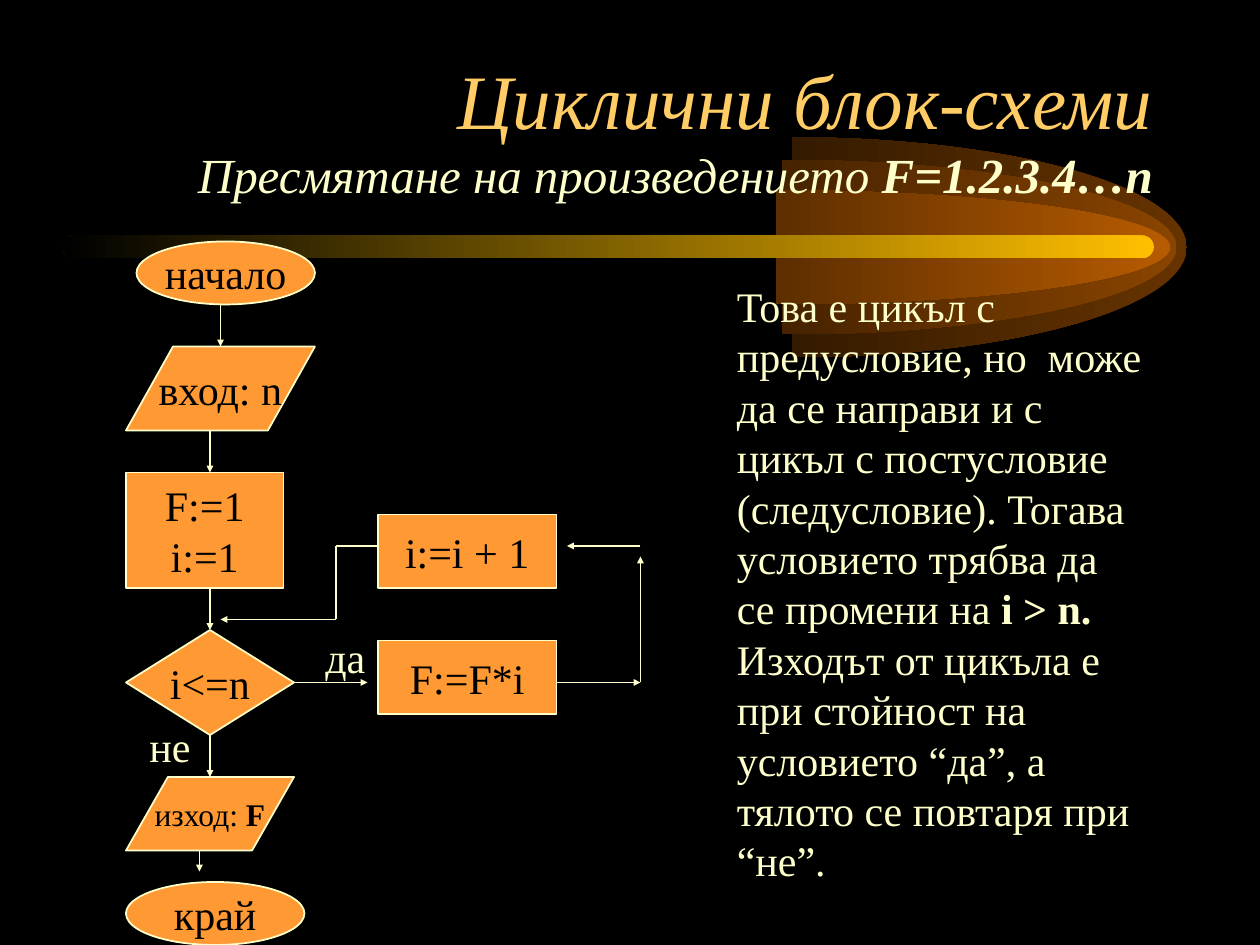
from dataclasses import dataclass

import pptx
import pptx.dml.color
import pptx.enum.shapes
import pptx.enum.text
import pptx.oxml
import pptx.oxml.ns
import pptx.util

SHAPE = pptx.enum.shapes.MSO_SHAPE
ALIGN = pptx.enum.text.PP_ALIGN
ANCHOR = pptx.enum.text.MSO_ANCHOR
FIT = pptx.enum.text.MSO_AUTO_SIZE
NAMESPACE = pptx.oxml.ns.nsdecls("a")

COLUMNS, ROWS = 120, 90
SLIDE_WIDTH, SLIDE_HEIGHT = pptx.util.Inches(10), pptx.util.Inches(7.5)


@dataclass(frozen=True)
class Theme:
    font: str = "Times New Roman"
    background: str = "000000"
    title: str = "FFCC66"
    light: str = "FFFFCC"
    dark: str = "000000"
    block: str = "FF9933"
    bar: str = "FFBF00"
    title_size: int = 44
    subtitle_size: int = 28
    body_size: int = 24
    small_size: int = 18
    line_width: int = 1


@dataclass(frozen=True)
class Run:
    text: str
    size: int
    color: str
    bold: bool = False
    italic: bool = False


@dataclass(frozen=True)
class Box:
    left: float
    top: float
    width: float
    height: float


@dataclass(frozen=True)
class Block:
    preset: SHAPE
    box: Box
    paragraphs: list[list[Run]]
    adjustment: float | None = None


@dataclass(frozen=True)
class Flow:
    points: list[tuple[float, float]]
    arrow: bool = True


@dataclass(frozen=True)
class Halo:
    box: Box
    color: str


THEME = Theme()


def ink(text: str, size: int = THEME.body_size, bold: bool = False) -> Run:
    return Run(text, size, THEME.dark, bold)


def glow(text: str, bold: bool = False) -> Run:
    return Run(text, THEME.body_size, THEME.light, bold)


BLOCKS = [
    Block(SHAPE.OVAL, Box(13, 23, 17, 6), [[ink("начало")]]),
    Block(SHAPE.PARALLELOGRAM, Box(12, 33, 18, 8), [[ink("вход: n")]], 0.56),
    Block(SHAPE.RECTANGLE, Box(12, 45, 15, 11), [[ink("F:=1")], [ink("i:=1")]]),
    Block(SHAPE.DIAMOND, Box(12, 60, 16, 10), [[ink("i<=n")]]),
    Block(SHAPE.PARALLELOGRAM, Box(12, 74, 16, 7),
          [[ink("изход: ", THEME.small_size), ink("F", THEME.small_size, True)]], 0.57),
    Block(SHAPE.OVAL, Box(12, 84, 17, 6), [[ink("край")]]),
    Block(SHAPE.RECTANGLE, Box(36, 61, 17, 7), [[ink("F:=F*i")]]),
    Block(SHAPE.RECTANGLE, Box(36, 49, 17, 7), [[ink("i:=i + 1")]]),
]
FLOWS = [
    Flow([(21, 29), (21, 33)]),
    Flow([(20, 41), (20, 45)]),
    Flow([(20, 56), (20, 60)]),
    Flow([(20, 70), (20, 74)]),
    Flow([(19, 81), (19, 83)]),
    Flow([(28, 65), (35, 65)]),
    Flow([(53, 65), (61, 65)]),
    Flow([(61, 65), (61, 53)]),
    Flow([(61, 52), (54, 52)]),
    Flow([(36, 52), (32, 52), (32, 59)], arrow=False),
    Flow([(32, 59), (21, 59)]),
]
HALOS = [
    Halo(Box(37.92, 13.08, 75.12, 20.95), "663300"),
    Halo(Box(36.96, 15.24, 75.12, 16.62), "894400"),
    Halo(Box(36.36, 18.12, 75.12, 10.85), "B75B00"),
]
ARC_HANDLE = 0.55
BAR = Box(6, 22.42, 103.9, 2.18)
TITLE = Box(9, 5, 102, 15)
LABELS = [(Box(29.8, 59.58, 6.5, 6), "да"), (Box(13.05, 68, 6.5, 6), "не")]
NOTE = Box(69, 26.12, 41, 58.8)


def across(columns: float) -> int:
    return round(SLIDE_WIDTH * columns / COLUMNS)


def down(rows: float) -> int:
    return round(SLIDE_HEIGHT * rows / ROWS)


def place(box: Box) -> tuple[int, int, int, int]:
    return across(box.left), down(box.top), across(box.width), down(box.height)


def rgb(color: str) -> pptx.dml.color.RGBColor:
    return pptx.dml.color.RGBColor.from_string(color)


def apply_format(target: object, values: dict[str, object]) -> None:
    for name, value in values.items():
        setattr(target, name, value)


def write_run(paragraph, item: Run) -> None:
    run = paragraph.add_run()
    run.text = item.text
    apply_format(run.font, {"name": THEME.font, "size": pptx.util.Pt(item.size),
                            "bold": item.bold, "italic": item.italic})
    run.font.color.rgb = rgb(item.color)


def write_text(frame, paragraphs: list[list[Run]], frame_format: dict, paragraph_format: dict) -> None:
    apply_format(frame, frame_format)
    for index, runs in enumerate(paragraphs):
        paragraph = frame.add_paragraph() if index else frame.paragraphs[0]
        apply_format(paragraph, paragraph_format)
        for item in runs:
            write_run(paragraph, item)


def fade(shape, color: str) -> None:
    shape.shadow.inherit = False
    shape.line.fill.background()
    shape.fill.gradient()
    shape.fill.gradient_angle = 180
    for stop, stop_color in zip(shape.fill.gradient_stops, (color, THEME.background)):
        stop.color.rgb = rgb(stop_color)


def draw_halo(slide, halo: Halo) -> None:
    left, top, width, height = place(halo.box)
    middle, center = left + width // 2, top + height // 2
    builder = slide.shapes.build_freeform(left, center)
    builder.move_to(middle, top)
    builder.add_line_segments([(left + width, center), (middle, top + height)], close=True)
    shape = builder.convert_to_shape()
    half_width, half_height = width // 2, height // 2
    reach_x, reach_y = round(half_width * ARC_HANDLE), round(half_height * ARC_HANDLE)
    curves = [
        [(half_width + reach_x, 0), (width, half_height - reach_y), (width, half_height)],
        [(width, half_height + reach_y), (half_width + reach_x, height), (half_width, height)],
    ]
    segments = list(shape.element.iter(pptx.oxml.ns.qn("a:lnTo")))
    for segment, curve in zip(segments, curves):
        points = "".join(f'<a:pt x="{x}" y="{y}"/>' for x, y in curve)
        segment.getparent().replace(segment, pptx.oxml.parse_xml(
            f"<a:cubicBezTo {NAMESPACE}>{points}</a:cubicBezTo>"))
    fade(shape, halo.color)


def draw_block(slide, block: Block) -> None:
    shape = slide.shapes.add_shape(block.preset, *place(block.box))
    shape.shadow.inherit = False
    shape.fill.solid()
    shape.fill.fore_color.rgb = rgb(THEME.block)
    shape.line.color.rgb = rgb(THEME.light)
    shape.line.width = pptx.util.Pt(THEME.line_width)
    if block.adjustment is not None:
        shape.adjustments[0] = block.adjustment
    write_text(shape.text_frame, block.paragraphs,
               {"word_wrap": False, "vertical_anchor": ANCHOR.MIDDLE}, {"alignment": ALIGN.CENTER})


def draw_flow(slide, flow: Flow) -> None:
    for start, end in zip(flow.points, flow.points[1:]):
        connector = slide.shapes.add_connector(
            pptx.enum.shapes.MSO_CONNECTOR.STRAIGHT,
            across(start[0]), down(start[1]), across(end[0]), down(end[1]))
        connector.line.color.rgb = rgb(THEME.light)
        connector.line.width = pptx.util.Pt(THEME.line_width)
        properties = connector.element.spPr
        if flow.arrow:
            line = properties.find(pptx.oxml.ns.qn("a:ln"))
            line.append(pptx.oxml.parse_xml(
                f'<a:tailEnd {NAMESPACE} type="triangle" w="sm" len="sm"/>'))
        properties.append(pptx.oxml.parse_xml(f"<a:effectLst {NAMESPACE}/>"))


def draw_text(slide, box: Box, runs: list[Run], wrap: bool, space_before: int = 0) -> None:
    frame = slide.shapes.add_textbox(*place(box)).text_frame
    write_text(frame, [runs], {"word_wrap": wrap, "auto_size": FIT.SHAPE_TO_FIT_TEXT},
               {"alignment": ALIGN.LEFT, "space_before": pptx.util.Pt(space_before)})


def draw_title(slide) -> None:
    title = slide.shapes.title
    title.element.getparent().append(title.element)
    apply_format(title, dict(zip(("left", "top", "width", "height"), place(TITLE))))
    heading = Run("Циклични блок-схеми", THEME.title_size, THEME.title, italic=True)
    write_text(title.text_frame, [[heading]],
               {"auto_size": FIT.NONE, "vertical_anchor": ANCHOR.BOTTOM, "word_wrap": True},
               {"alignment": ALIGN.RIGHT})
    paragraph = title.text_frame.paragraphs[0]
    paragraph.add_line_break()
    for text, bold in (("Пресмятане на произведението ", False), ("F=1.2.3.4…n", True)):
        write_run(paragraph, Run(text, THEME.subtitle_size, THEME.light, bold, True))


def main() -> None:
    presentation = pptx.Presentation()
    apply_format(presentation, {"slide_width": SLIDE_WIDTH, "slide_height": SLIDE_HEIGHT})
    slide = presentation.slides.add_slide(presentation.slide_layouts[5])
    slide.background.fill.solid()
    slide.background.fill.fore_color.rgb = rgb(THEME.background)
    for halo in HALOS:
        draw_halo(slide, halo)
    bar = slide.shapes.add_shape(SHAPE.ROUNDED_RECTANGLE, *place(BAR))
    bar.adjustments[0] = 0.5
    fade(bar, THEME.bar)
    draw_title(slide)
    for block in BLOCKS:
        draw_block(slide, block)
    for flow in FLOWS:
        draw_flow(slide, flow)
    for box, text in LABELS:
        draw_text(slide, box, [glow(text)], wrap=False)
    draw_text(slide, NOTE, [
        glow("Това е цикъл с предусловие, но  може да се направи и с цикъл с постусловие "
             "(следусловие). Тогава условието трябва да се промени на "),
        glow("i > n. ", bold=True),
        glow("Изходът от цикъла е при стойност на условието “да”, а тялото се повтаря при “не”."),
    ], wrap=True, space_before=15)
    presentation.save("out.pptx")


if __name__ == "__main__":
    main()
